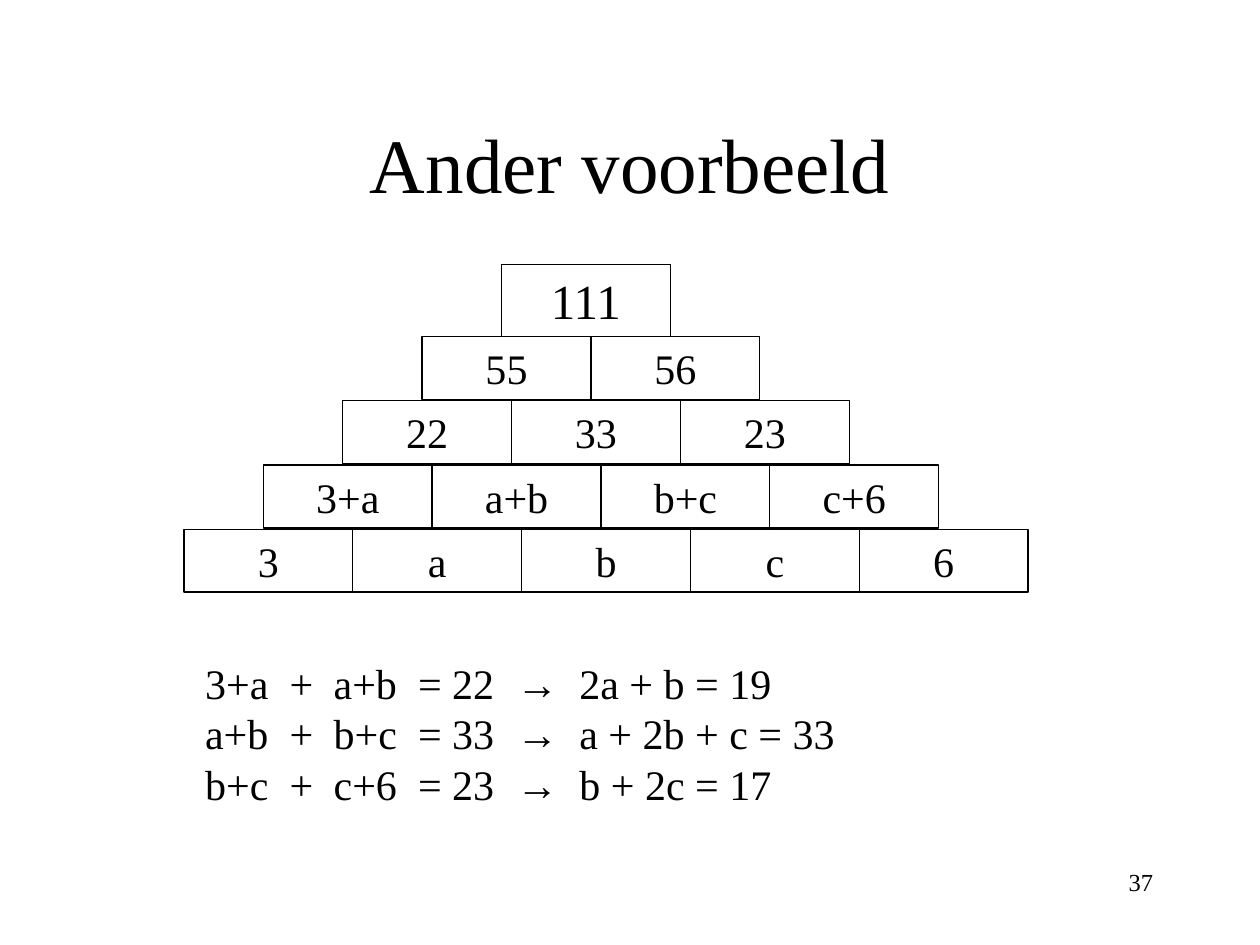
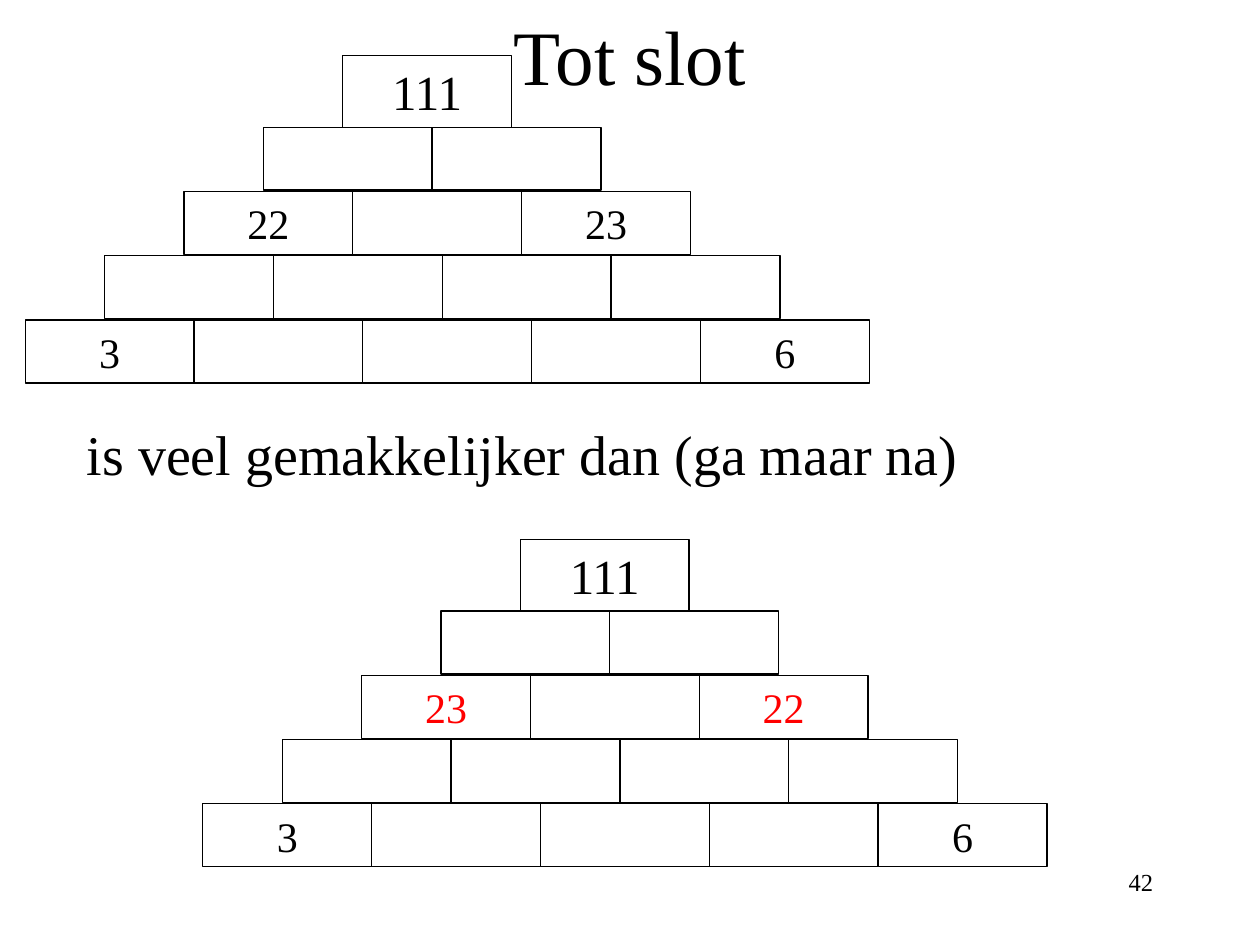
import pptx
import pptx.dml.color
import pptx.enum.shapes
import pptx.enum.text
import pptx.util
from lxml import etree
from pptx.util import Inches, Pt

ALIGN = pptx.enum.text.PP_ALIGN
ANCHOR = pptx.enum.text.MSO_ANCHOR

# Shared style
FONT = "Times New Roman"
ARROW_FONT = "Arial"
BLACK = "000000"
RED = "FF0000"

# Pyramid grid, in inches
BRICK_WIDTH = 1.34
BRICK_HEIGHT = 0.5
TOP_BRICK_HEIGHT = 0.57
ROW_PITCH = 0.51
ROW_SHIFT = 0.63

# Tab positions of the columns in the equations, in inches
EQUATION_TABS = (0.67, 1.02, 1.69, 2.47, 2.97)


def colour(hex_value):
    return pptx.dml.color.RGBColor.from_string(hex_value)


def format_run(run, size, hex_value=BLACK, font=FONT):
    run.font.size = Pt(size)
    run.font.name = font
    run.font.color.rgb = colour(hex_value)


def format_text(frame, size, align, anchor=ANCHOR.TOP, hex_value=BLACK):
    frame.word_wrap = True
    frame.vertical_anchor = anchor
    for paragraph in frame.paragraphs:
        paragraph.alignment = align
        for run in paragraph.runs:
            format_run(run, size, hex_value)


def add_text(slide, box, text, size, align=ALIGN.LEFT):
    frame = slide.shapes.add_textbox(*map(Inches, box)).text_frame
    frame.text = text
    format_text(frame, size, align)
    return frame


def add_titled_slide(deck, title, title_top, page):
    slide = deck.slides.add_slide(deck.slide_layouts[5])
    heading = slide.shapes.title
    heading.left, heading.top = Inches(0.75), Inches(title_top)
    heading.width, heading.height = Inches(8.5), Inches(1.25)
    heading.text_frame.text = title
    format_text(heading.text_frame, 44, ALIGN.CENTER, ANCHOR.MIDDLE)
    add_text(slide, (7.17, 6.83, 2.08, 0.5), page, 14, ALIGN.RIGHT)
    return slide


def add_brick(pyramid, box, label, size, hex_value):
    brick = pyramid.shapes.add_shape(
        pptx.enum.shapes.MSO_SHAPE.RECTANGLE, *map(Inches, box))
    brick.shadow.inherit = False
    brick.fill.background()
    brick.line.color.rgb = colour(BLACK)
    brick.line.width = Pt(0.75)
    if label:
        brick.text_frame.text = label
        format_text(brick.text_frame, size, ALIGN.CENTER, hex_value=hex_value)


def add_pyramid(slide, left, top, rows, red_labels=()):
    """Stack the rows from the top brick down; left is that of the base."""
    pyramid = slide.shapes.add_group_shape()
    for level, labels in enumerate(rows):
        row_left = left + (len(rows) - 1 - level) * ROW_SHIFT
        if level == 0:
            row_top, height, size = top, TOP_BRICK_HEIGHT, 28
        else:
            row_top = top + TOP_BRICK_HEIGHT + (level - 1) * ROW_PITCH
            height, size = BRICK_HEIGHT, 24
        for column, label in enumerate(labels):
            box = (row_left + column * BRICK_WIDTH, row_top, BRICK_WIDTH, height)
            add_brick(pyramid, box, label, size,
                      RED if label in red_labels else BLACK)


def add_equations(slide, box, equations):
    frame = add_text(slide, box, "\n".join("\t".join(e) for e in equations), 24)
    for paragraph, parts in zip(frame.paragraphs, equations):
        properties = paragraph._p.get_or_add_pPr()
        tabs = etree.SubElement(properties, pptx.oxml.ns.qn("a:tabLst"))
        for position in EQUATION_TABS:
            etree.SubElement(tabs, pptx.oxml.ns.qn("a:tab"),
                             pos=str(Inches(position)), algn="l")
        # The arrow has its own font
        before, after = paragraph.text.split("→")
        paragraph.text = before
        for text in ("→", after):
            paragraph.add_run().text = text
        for run in paragraph.runs:
            format_run(run, 24, font=ARROW_FONT if run.text == "→" else FONT)


def example_slide(deck):
    slide = add_titled_slide(deck, "Ander voorbeeld", 0.67, "37")
    add_pyramid(slide, 1.46, 2.1, [
        ["111"],
        ["55", "56"],
        ["22", "33", "23"],
        ["3+a", "a+b", "b+c", "c+6"],
        ["3", "a", "b", "c", "6"],
    ])
    add_equations(slide, (1.53, 5.17, 6.77, 1.3), [
        ("3+a", "+", "a+b", "= 22", "→", "2a + b = 19"),
        ("a+b", "+", "b+c", "= 33", "→", "a + 2b + c = 33"),
        ("b+c", "+", "c+6", "= 23", "→", "b + 2c = 17"),
    ])


def puzzle_rows(middle_left, middle_right):
    return [["111"], [""] * 2, [middle_left, "", middle_right],
            [""] * 4, ["3", "", "", "", "6"]]


def closing_slide(deck):
    slide = add_titled_slide(deck, "Tot slot", -0.19, "42")
    add_text(slide, (0.59, 3.28, 8.19, 0.95),
             "is veel gemakkelijker dan (ga maar na)", 32)
    add_pyramid(slide, 0.2, 0.44, puzzle_rows("22", "23"))
    add_pyramid(slide, 1.61, 4.28, puzzle_rows("23", "22"), ("22", "23"))


def main():
    deck = pptx.Presentation()
    deck.slide_width, deck.slide_height = Inches(10), Inches(7.5)
    example_slide(deck)
    closing_slide(deck)
    deck.save("out.pptx")


if __name__ == "__main__":
    main()
